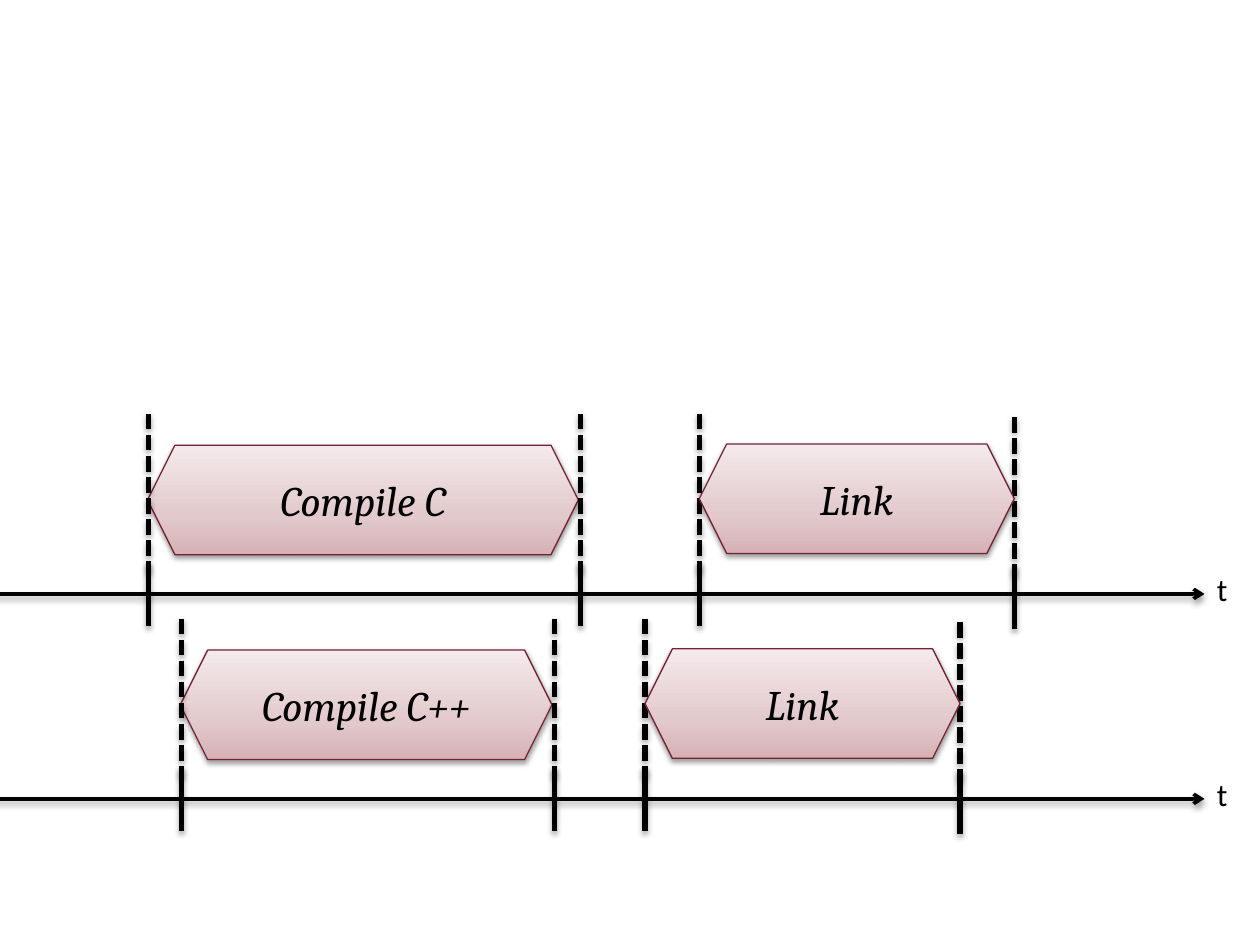
from lxml import etree
from pptx import Presentation
from pptx.dml.color import RGBColor
from pptx.enum.dml import MSO_LINE
from pptx.enum.shapes import MSO_CONNECTOR, MSO_SHAPE
from pptx.enum.text import MSO_ANCHOR, MSO_AUTO_SIZE, PP_ALIGN
from pptx.oxml import parse_xml
from pptx.oxml.ns import nsdecls, qn
from pptx.util import Pt

HEXAGON = MSO_SHAPE.HEXAGON
STRAIGHT = MSO_CONNECTOR.STRAIGHT
DASHED = MSO_LINE.SQUARE_DOT
CENTER = PP_ALIGN.CENTER
MIDDLE = MSO_ANCHOR.MIDDLE
FIT_SHAPE = MSO_AUTO_SIZE.SHAPE_TO_FIT_TEXT

TIMELINES = [
    {"axis": 456.5, "compile": ("Compile C++", 103.7, 316.8), "link": ("Link", 368.6, 548.6)},
    {"axis": 339.4, "compile": ("Compile C", 85, 331.9), "link": ("Link", 399.6, 579.6)},
]
AXIS_LEFT, AXIS_RIGHT = -15, 688.3
TICK = (-18.8, 18.5)
GUIDE = (-103, -12.5)
LINK_END_DROP = 1.8
STAGE_HEIGHT = 62.6
COMPILE_RISE, LINK_RISE = 85, 85.7
COMPILE_SHIFT, COMPILE_TRIM = 0.7, 0.7
STAGE_GRADIENT = [(0, "D6B1B5"), (35, "E2C9CC"), (100, "F4EAEB")]
BLACK, WINE = "000000", "752234"
BOX_SHADOW, MARK_SHADOW = (38, 1.6), (35, 1.8)


def color(hex_value):
    """Turn a hex string into a colour."""
    return RGBColor.from_string(hex_value)


def add_shadow(shape, opacity, distance):
    """Append a soft shadow that falls straight down."""
    shape._element.spPr.append(parse_xml(
        f'<a:effectLst {nsdecls("a")}><a:outerShdw blurRad="{Pt(3.1)}" dist="{Pt(distance)}" '
        f'dir="5400000" rotWithShape="0"><a:srgbClr val="{BLACK}">'
        f'<a:alpha val="{opacity * 1000}"/></a:srgbClr></a:outerShdw></a:effectLst>'))


def add_line(slide, start, end, width, shadow, dash=None, arrow=False):
    """Draw a black line between two points."""
    line = slide.shapes.add_connector(STRAIGHT, *map(Pt, start + end))
    line.line.color.rgb = color(BLACK)
    line.line.width = Pt(width)
    if dash:
        line.line.dash_style = dash
    if arrow:
        outline = line._element.spPr.find(qn("a:ln"))
        etree.SubElement(outline, qn("a:tailEnd"), type="arrow")
    add_shadow(line, *shadow)


def add_axis(slide, y):
    """Draw a time axis with its label."""
    add_line(slide, (AXIS_LEFT, y), (AXIS_RIGHT, y), 2, BOX_SHADOW, arrow=True)
    label = slide.shapes.add_textbox(Pt(AXIS_RIGHT), Pt(y - 17), Pt(21), Pt(29))
    label.text_frame.word_wrap = False
    label.text_frame.auto_size = FIT_SHAPE
    paragraph = label.text_frame.paragraphs[0]
    paragraph.text = "t"
    paragraph.font.size = Pt(18)
    paragraph.font.name = "Calibri"
    paragraph.font.color.rgb = color(BLACK)


def add_boundary(slide, x, y):
    """Draw the tick on the axis and the dashed guide above it."""
    for (top, bottom), dash in ((TICK, None), (GUIDE, DASHED)):
        add_line(slide, (x, y + top), (x, y + bottom), 3, MARK_SHADOW, dash)


def add_stage(slide, name, left, top, width):
    """Draw a build stage as a gradient hexagon."""
    stage = slide.shapes.add_shape(HEXAGON, Pt(left), Pt(top), Pt(width), Pt(STAGE_HEIGHT))
    stops = "".join(f'<a:gs pos="{position * 1000}"><a:srgbClr val="{shade}"/></a:gs>'
                    for position, shade in STAGE_GRADIENT)
    stage._element.spPr.append(parse_xml(
        f'<a:gradFill {nsdecls("a")} rotWithShape="1"><a:gsLst>{stops}</a:gsLst>'
        '<a:lin ang="16200000" scaled="0"/></a:gradFill>'))
    stage.line.color.rgb = color(WINE)
    stage.line.width = Pt(0.75)
    add_shadow(stage, *BOX_SHADOW)
    stage.text_frame.vertical_anchor = MIDDLE
    paragraph = stage.text_frame.paragraphs[0]
    paragraph.text = name
    paragraph.alignment = CENTER
    paragraph.font.size = Pt(24)
    paragraph.font.name = "Cambria"
    paragraph.font.italic = True
    paragraph.font.color.rgb = color(BLACK)


def add_timeline(slide, axis, compile, link):
    """Draw one axis with its compile and link stages."""
    add_axis(slide, axis)
    name, start, end = compile
    add_stage(slide, name, start - COMPILE_SHIFT, axis - COMPILE_RISE, end - start - COMPILE_TRIM)
    add_boundary(slide, end, axis)
    add_boundary(slide, start, axis)
    name, start, end = link
    add_boundary(slide, start, axis)
    add_boundary(slide, end, axis + LINK_END_DROP)
    add_stage(slide, name, start, axis - LINK_RISE, end - start)


def main():
    """Build the slide with both build timelines."""
    presentation = Presentation()
    presentation.slide_width, presentation.slide_height = Pt(720), Pt(540)
    slide = presentation.slides.add_slide(presentation.slide_layouts[6])
    for timeline in TIMELINES:
        add_timeline(slide, **timeline)
    presentation.save("out.pptx")


if __name__ == "__main__":
    main()
